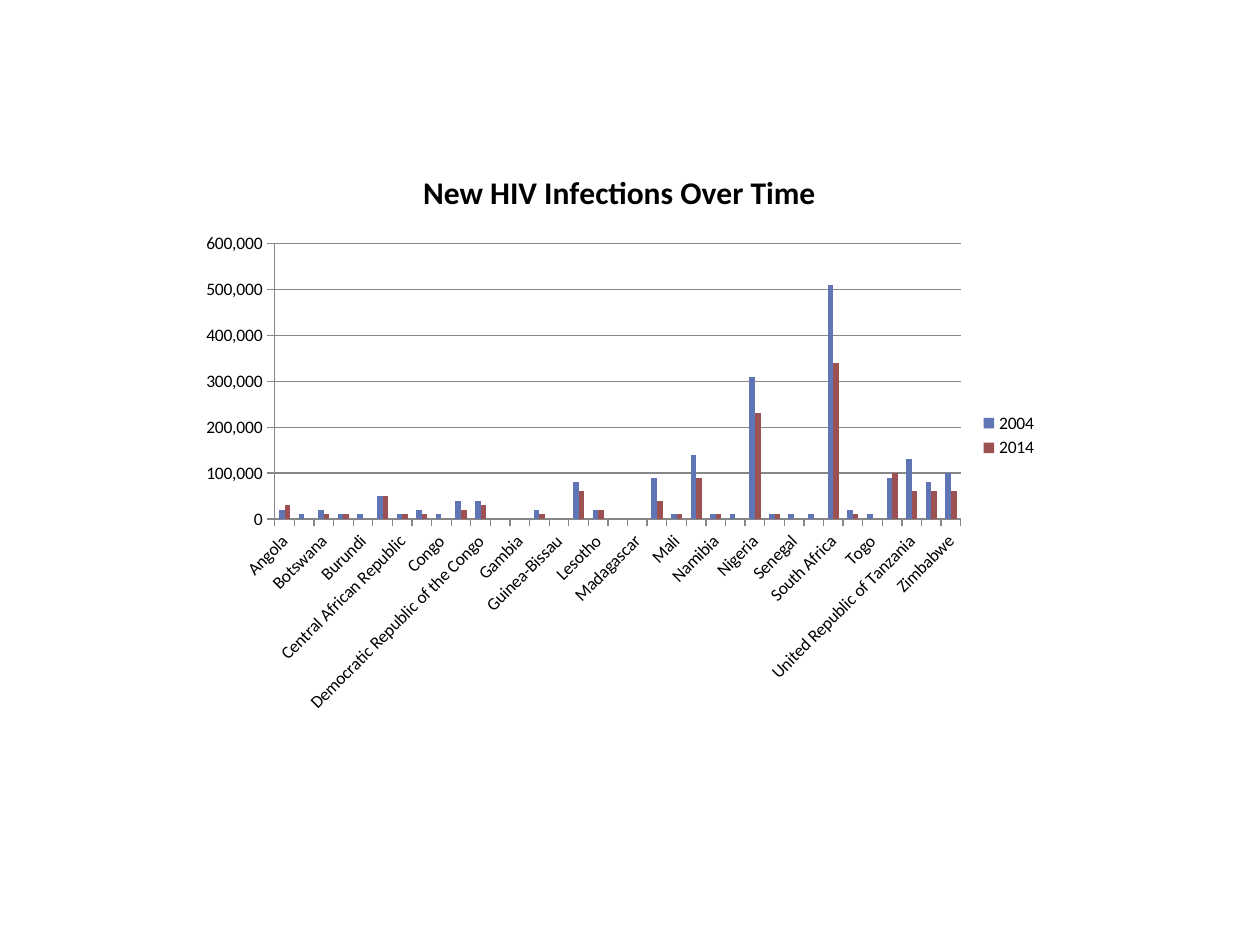
from pptx import Presentation
from pptx import util as u
from pptx.chart import data as cd
from pptx.dml import color as dc
from pptx.enum import chart as ce

NAMES = [
    "Angola", "Benin", "Botswana", "Burkina Faso", "Burundi", "Cameroon",
    "Central African Republic", "Chad", "Congo", "Côte d'Ivoire",
    "Democratic Republic of the Congo", "Gabon", "Gambia", "Ghana",
    "Guinea-Bissau", "Kenya", "Lesotho", "Liberia", "Madagascar", "Malawi",
    "Mali", "Mozambique", "Namibia", "Niger", "Nigeria", "Rwanda", "Senegal",
    "Sierra Leone", "South Africa", "Swaziland", "Togo", "Uganda",
    "United Republic of Tanzania", "Zambia", "Zimbabwe",
]
UNIT = 10000
YEARS = {
    "2004": ("6076B4", [2, 1, 2, 1, 1, 5, 1, 2, 1, 4, 4, 0, 0, 2, 0, 8, 2, 0,
                        0, 9, 1, 14, 1, 1, 31, 1, 1, 1, 51, 2, 1, 9, 13, 8, 10]),
    "2014": ("9C5252", [3, 0, 1, 1, 0, 5, 1, 1, 0, 2, 3, 0, 0, 1, 0, 6, 2, 0,
                        0, 4, 1, 9, 1, 0, 23, 1, 0, 0, 34, 1, 0, 10, 6, 6, 6]),
}


def px(n):
    """Turn slide pixels into EMU."""
    return u.Inches(n / 126)


def tint(fill, code):
    """Give a fill a solid hex colour."""
    fill.solid()
    fill.fore_color.rgb = dc.RGBColor.from_string(code)


def style(font, size=10, bold=False, color="000000"):
    """Set the face, size, weight and colour of a font."""
    font.name, font.size, font.bold = "Calibri", u.Pt(size), bold
    tint(font.fill, color)


def write(frame, text, **fmt):
    """Put formatted text into a text frame."""
    run = frame.paragraphs[0].add_run()
    run.text = text
    style(run.font, **fmt)


def graph(slide, box):
    """Add the column chart of new infections in the given box."""
    data = cd.CategoryChartData(number_format="#,##0")
    data.categories = NAMES
    for year, (_, vals) in YEARS.items():
        data.add_series(year, [n * UNIT for n in vals])
    chart = slide.shapes.add_chart(
        ce.XL_CHART_TYPE.COLUMN_CLUSTERED, *map(px, box), data).chart
    style(chart.font)
    chart.has_title = True
    write(chart.chart_title.text_frame, "New HIV Infections Over Time",
          size=18, bold=True)
    chart.chart_title.include_in_layout = False
    chart.has_legend = True
    chart.legend.position = ce.XL_LEGEND_POSITION.RIGHT
    chart.legend.include_in_layout = False
    bars = chart.plots[0]
    bars.gap_width, bars.overlap, bars.vary_by_categories = 150, 0, False
    for bar, (code, _) in zip(bars.series, YEARS.values()):
        bar.invert_if_negative = False
        tint(bar.format.fill, code)
    for axis in (chart.category_axis, chart.value_axis):
        axis.major_tick_mark = ce.XL_TICK_MARK.OUTSIDE
        axis.minor_tick_mark = ce.XL_TICK_MARK.NONE
    scale = chart.value_axis
    scale.tick_labels.number_format = "#,##0"
    scale.tick_labels.number_format_is_linked = False
    scale.has_major_gridlines = True


def main():
    """Build the slide and save it."""
    deck = Presentation()
    deck.slide_width, deck.slide_height = px(1260), px(945)
    slide = deck.slides.add_slide(deck.slide_layouts[6])
    graph(slide, (189, 147, 861, 577))
    deck.save("out.pptx")


if __name__ == "__main__":
    main()
